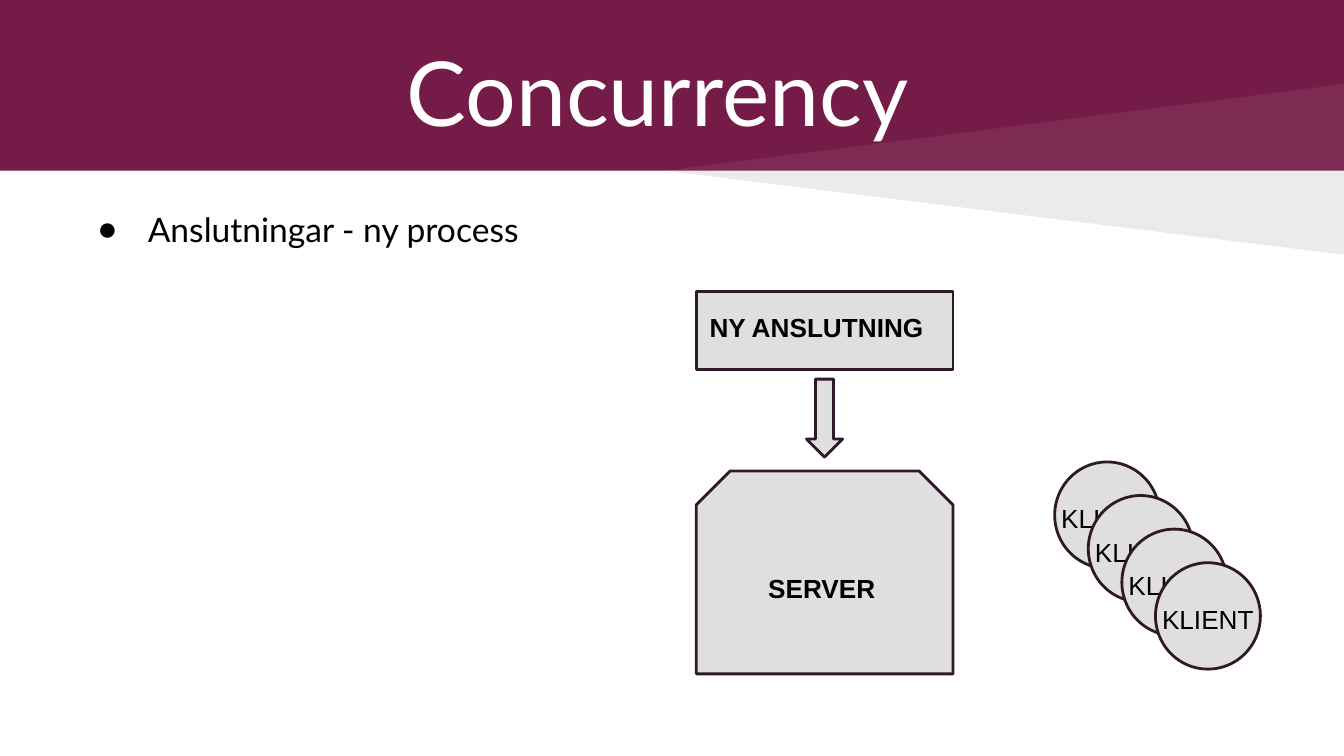
import pptx
import pptx.util
import pptx.dml.color
import pptx.enum.shapes
import pptx.enum.text
import pptx.oxml
import pptx.oxml.ns

Pt = pptx.util.Pt
SHAPES = pptx.enum.shapes.MSO_SHAPE
ALIGN = pptx.enum.text.PP_ALIGN
ANCHOR = pptx.enum.text.MSO_ANCHOR

COLORS = {
    "band": "741B47",
    "white": "FFFFFF",
    "black": "000000",
    "node": "DFDFDF",
    "outline": "30182B",
}
WIDTH, HEIGHT = 720, 405
BAND_HEIGHT = 91.5
INSET = 7.2


def color(name):
    return pptx.dml.color.RGBColor.from_string(COLORS[name])


def fill_solid(fill, name):
    fill.solid()
    fill.fore_color.rgb = color(name)


def place(shape, left, top, width, height):
    shape.left, shape.top = Pt(left), Pt(top)
    shape.width, shape.height = Pt(width), Pt(height)


def set_frame(frame, anchor, insets):
    """Insets are given as left, top, right, bottom."""
    frame.margin_left, frame.margin_top, frame.margin_right, frame.margin_bottom = map(Pt, insets)
    frame.vertical_anchor = anchor
    frame.auto_size = pptx.enum.text.MSO_AUTO_SIZE.NONE


def add_run(paragraph, text, font_name, size, color_name, bold=False):
    run = paragraph.add_run()
    run.text = text
    run.font.name = font_name
    run.font.size = Pt(size)
    run.font.bold = bold
    run.font.color.rgb = color(color_name)


def add_wedge(slide, left, base, width, rise, color_name, opacity):
    """Translucent triangle from a point on the band edge to the right side."""
    builder = slide.shapes.build_freeform(Pt(left), Pt(base))
    right = Pt(left + width)
    builder.add_line_segments([(right, Pt(base + rise)), (right, Pt(base))])
    wedge = builder.convert_to_shape()
    wedge.shadow.inherit = False
    wedge.line.fill.background()
    fill_solid(wedge.fill, color_name)
    srgb = wedge.fill._xPr.find(".//" + pptx.oxml.ns.qn("a:srgbClr"))
    alpha = pptx.oxml.parse_xml(
        f'<a:alpha {pptx.oxml.ns.nsdecls("a")} val="{opacity * 1000}"/>')
    srgb.append(alpha)


def add_backdrop(slide):
    fill_solid(slide.background.fill, "band")
    panel = slide.shapes.add_shape(
        SHAPES.RECTANGLE, 0, Pt(BAND_HEIGHT), Pt(WIDTH), Pt(HEIGHT - BAND_HEIGHT))
    panel.shadow.inherit = False
    panel.line.fill.background()
    fill_solid(panel.fill, "white")
    wedge_left = 356.5
    for rise, color_name, opacity in ((-46.5, "white", 7), (45, "black", 8)):
        add_wedge(slide, wedge_left, BAND_HEIGHT, WIDTH - wedge_left, rise, color_name, opacity)


def bring_to_front(slide, shape):
    slide.shapes._spTree.append(shape._element)


def fill_title(slide, left, top, width, height):
    title = slide.shapes.title
    place(title, left, top, width, height)
    bring_to_front(slide, title)
    set_frame(title.text_frame, ANCHOR.MIDDLE, [INSET] * 4)
    paragraph = title.text_frame.paragraphs[0]
    paragraph.alignment = ALIGN.LEFT
    add_run(paragraph, "Concurrency", "Lato", 48, "white")


def fill_body(slide, left, top, width, height):
    body = slide.placeholders[1]
    place(body, left, top, width, height)
    bring_to_front(slide, body)
    set_frame(body.text_frame, ANCHOR.TOP, [INSET] * 4)
    paragraph = body.text_frame.paragraphs[0]
    paragraph.space_before = Pt(0)
    add_run(paragraph, "Anslutningar - ny process", "Lato", 18, "black")
    properties = paragraph._p.get_or_add_pPr()
    properties.set("marL", str(Pt(36)))
    properties.set("indent", str(Pt(-27)))
    namespace = pptx.oxml.ns.nsdecls("a")
    for xml in (
        f'<a:buClr {namespace}><a:srgbClr val="{COLORS["black"]}"/></a:buClr>',
        f'<a:buChar {namespace} char="●"/>',
    ):
        properties.append(pptx.oxml.parse_xml(xml))


def add_node(slide, kind, left, top, width, height, text="", bold=False,
             alignment=ALIGN.CENTER, insets=(0, 0, 0, 0)):
    node = slide.shapes.add_shape(kind, Pt(left), Pt(top), Pt(width), Pt(height))
    node.shadow.inherit = False
    fill_solid(node.fill, "node")
    node.line.color.rgb = color("outline")
    node.line.width = Pt(1.5)
    if text:
        set_frame(node.text_frame, ANCHOR.MIDDLE, insets)
        node.text_frame.word_wrap = False
        paragraph = node.text_frame.paragraphs[0]
        paragraph.alignment = alignment
        add_run(paragraph, text, "Arial", 14, "black", bold)
    return node


def add_server_column(slide, left, top, width, height):
    """New connection above, arrow down, server below."""
    step_height, server_height, arrow_width = 41.8, 108.7, 19.4
    add_node(slide, SHAPES.RECTANGLE, left, top, width, step_height,
             "NY ANSLUTNING", True, ALIGN.LEFT, (INSET, 0, 0, 4))
    add_node(slide, SHAPES.DOWN_ARROW, left + (width - arrow_width) / 2, top + 46.8,
             arrow_width, step_height)
    server = add_node(slide, SHAPES.SNIP_2_SAME_RECTANGLE, left, top + height - server_height,
                      width, server_height, "SERVER", True, insets=(0, 8, 3, 0))
    server.adjustments[0] = 0.167


def add_clients(slide, left, top, width, height, count=4, step=18):
    """Overlapping circles stepping down to the right."""
    overhang = step * (count - 1)
    for index in range(count):
        add_node(slide, SHAPES.OVAL, left + index * step, top + index * step,
                 width - overhang, height - overhang, "KLIENT", insets=(0, 3, 0, 0))


def main():
    presentation = pptx.Presentation()
    presentation.slide_width, presentation.slide_height = Pt(WIDTH), Pt(HEIGHT)
    slide = presentation.slides.add_slide(presentation.slide_layouts[1])
    add_backdrop(slide)
    fill_title(slide, 210.5, 15, 648, 67.5)
    add_server_column(slide, 373, 156.3, 137.5, 204.7)
    add_clients(slide, 565, 247.5, 110.2, 111)
    fill_body(slide, 36, 104.5, 648, 293)
    presentation.save("out.pptx")


if __name__ == "__main__":
    main()
